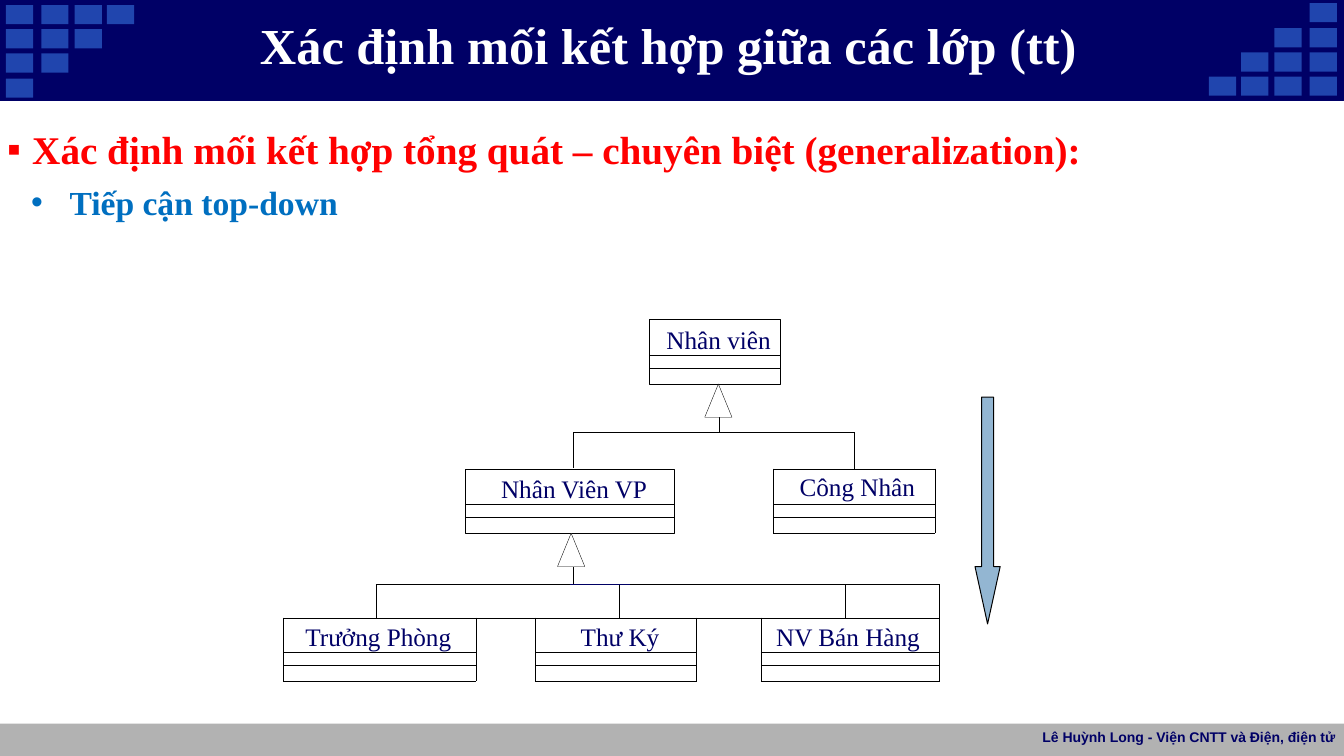
from dataclasses import dataclass
from itertools import product

from lxml.etree import SubElement
from pptx import Presentation
from pptx.dml.color import RGBColor
from pptx.enum.shapes import MSO_CONNECTOR, MSO_SHAPE
from pptx.enum.text import MSO_ANCHOR, PP_ALIGN
from pptx.oxml.ns import qn
from pptx.util import Inches, Pt

NAVY, BLACK, WHITE = "000066", "000000", "FFFFFF"
SERIF = "Times New Roman"
HAIRLINE = 0.25
COMPARTMENTS = (0.35, 0.13, 0.16)
NO_TABLE_STYLE = "{2D5ABB26-0587-4C30-8999-92F81FD0307C}"


@dataclass
class ClassBox:
    name: str
    left: float
    top: float
    width: float
    indent: float


@dataclass
class Segment:
    x1: float
    y1: float
    x2: float
    y2: float
    color: str = BLACK
    weight: float = HAIRLINE


@dataclass
class Bullet:
    text: str
    symbol: str
    margin: float
    hanging: float
    size: float
    color: str


@dataclass
class Block:
    row: int
    col: int
    cols: int
    sides: str
    rows: int = 1
    name: str = ""
    indent: float = 0


CLASS_BOXES = [
    ClassBox("Nhân viên", 6.44, 3.17, 1.3, 0.17),
    ClassBox("Nhân Viên VP", 4.61, 4.65, 2.08, 0.36),
]
SEGMENTS = [
    Segment(7.13, 4.29, 7.13, 4.14),
    Segment(5.69, 4.29, 8.47, 4.29),
    Segment(5.69, 4.64, 5.69, 4.29),
    Segment(8.47, 4.65, 8.47, 4.29),
    Segment(5.65, 5.8, 6.25, 5.8, "000064", 0.75),
]
BULLETS = [
    Bullet("Xác định mối kết hợp tổng quát – chuyên biệt (generalization):",
           "▪", 0.32, -0.25, 28, "FF0000"),
    Bullet("Tiếp cận top-down", "•", 0.69, -0.38, 24, "006FC0"),
]
WORKER_BLOCKS = [Block(0, 0, 1, "LRTB", name="Công Nhân", indent=0.26)] + [
    Block(row, 0, 1, "LRTB") for row in (1, 2)]
OFFICE_BLOCKS = [
    Block(0, 0, 4, "R"), Block(0, 4, 5, "L"),
    Block(1, 0, 1, "RB"), Block(1, 1, 4, "LRTB"),
    Block(1, 5, 3, "LRTB"), Block(1, 8, 1, "LRTB"),
    Block(2, 0, 2, "LRTB", name="Trưởng Phòng", indent=0.22),
    Block(2, 3, 3, "LRTB", name="Thư Ký", indent=0.45),
    Block(2, 7, 2, "LRTB", name="NV Bán Hàng", indent=0.15),
    Block(2, 2, 1, "LRT", rows=3), Block(2, 6, 1, "LRT", rows=3),
] + [Block(row, col, cols, "LRTB")
     for row in (3, 4) for col, cols in ((0, 2), (3, 3), (7, 2))]


def rgb(color: str) -> RGBColor:
    return RGBColor.from_string(color)


def style_font(paragraph, size: float, color: str, bold: bool = False, face: str = SERIF):
    font = paragraph.font
    font.name, font.size, font.bold = face, Pt(size), bold
    font.color.rgb = rgb(color)


def set_margins(frame, left: float = 0, top: float = 0):
    frame.margin_left, frame.margin_top = Inches(left), Inches(top)
    frame.margin_right = frame.margin_bottom = 0


def add_shape(slide, kind, left, top, width, height, fill=None, line=None, weight=HAIRLINE):
    shape = slide.shapes.add_shape(
        kind, Inches(left), Inches(top), Inches(width), Inches(height))
    shape.shadow.inherit = False
    if fill:
        shape.fill.solid()
        shape.fill.fore_color.rgb = rgb(fill)
    else:
        shape.fill.background()
    if line:
        shape.line.color.rgb = rgb(line)
        shape.line.width = Pt(weight)
    else:
        shape.line.fill.background()
    return shape


def add_text_area(slide, left, top, width, height):
    frame = slide.shapes.add_textbox(
        Inches(left), Inches(top), Inches(width), Inches(height)).text_frame
    frame.word_wrap = True
    return frame


def write_class_name(frame, name: str, spacing: float):
    paragraph = frame.paragraphs[0]
    paragraph.text = name
    paragraph.alignment = PP_ALIGN.LEFT
    paragraph.line_spacing = Pt(spacing)
    style_font(paragraph, 18, NAVY)


def draw_class_box(slide, box: ClassBox):
    top = box.top
    for index, height in enumerate(COMPARTMENTS):
        compartment = add_shape(slide, MSO_SHAPE.RECTANGLE, box.left, top,
                                box.width, height, line=BLACK)
        if index == 0:
            frame = compartment.text_frame
            frame.vertical_anchor = MSO_ANCHOR.TOP
            set_margins(frame, box.indent, 0.05)
            write_class_name(frame, box.name, 21.4)
        top += height


def draw_segment(slide, segment: Segment):
    connector = slide.shapes.add_connector(
        MSO_CONNECTOR.STRAIGHT, Inches(segment.x1), Inches(segment.y1),
        Inches(segment.x2), Inches(segment.y2))
    connector.line.color.rgb = rgb(segment.color)
    connector.line.width = Pt(segment.weight)
    SubElement(connector._element.spPr, qn("a:effectLst"))


def format_cell(cell, sides: str):
    properties = cell._tc.get_or_add_tcPr()
    for side in sides:
        border = SubElement(properties, qn(f"a:ln{side}"), w=str(Pt(HAIRLINE)))
        SubElement(SubElement(border, qn("a:solidFill")), qn("a:srgbClr"), val=BLACK)
    cell.fill.background()
    set_margins(cell)


def draw_class_table(slide, left, top, widths, heights, blocks: list[Block]):
    frame = slide.shapes.add_table(len(heights), len(widths), Inches(left), Inches(top),
                                   Inches(sum(widths)), Inches(sum(heights)))
    table = frame.table
    table.first_row = table.horz_banding = False
    table._tbl.tblPr.find(qn("a:tableStyleId")).text = NO_TABLE_STYLE
    for column, width in zip(table.columns, widths):
        column.width = Inches(width)
    for row, height in zip(table.rows, heights):
        row.height = Inches(height)
    for block in blocks:
        last_row, last_col = block.row + block.rows - 1, block.col + block.cols - 1
        for row, col in product(range(block.row, last_row + 1), range(block.col, last_col + 1)):
            cell = table.cell(row, col)
            format_cell(cell, block.sides)
            SubElement(cell.text_frame.paragraphs[0]._p, qn("a:endParaRPr"), sz="400")
        origin = table.cell(block.row, block.col)
        if block.rows * block.cols > 1:
            origin.merge(table.cell(last_row, last_col))
        if block.name:
            set_margins(origin, block.indent, 0.05)
            write_class_name(origin.text_frame, block.name, 20.4)


def draw_banner(slide):
    add_shape(slide, MSO_SHAPE.RECTANGLE, 0, 7.18, 13.33, 0.33, "B2B2B2")
    add_shape(slide, MSO_SHAPE.RECTANGLE, 0, 0, 13.33, 1, NAVY, NAVY, 0.75)
    for row, y in enumerate((0.05, 0.29, 0.53, 0.78)):
        for x in (0.06, 0.41, 0.74, 1.06)[:4 - row]:
            for left, top in ((x, y), (13.05 - x, 0.81 - y)):
                add_shape(slide, MSO_SHAPE.RECTANGLE, left, top, 0.27, 0.19, "2045AE")


def write_title(slide):
    title = slide.shapes.title
    slide.shapes._spTree.append(title._element)
    title.left, title.top = Inches(2.42), Inches(0.13)
    title.width, title.height = Inches(8.42), Inches(0.62)
    frame = title.text_frame
    frame.text = "Xác định mối kết hợp giữa các lớp (tt)"
    frame.vertical_anchor = MSO_ANCHOR.MIDDLE
    set_margins(frame)
    frame.paragraphs[0].alignment = PP_ALIGN.CENTER
    style_font(frame.paragraphs[0], 36, WHITE, True)


def write_bullets(slide):
    frame = add_text_area(slide, 0, 1.11, 13.33, 1.11)
    set_margins(frame, top=0.1)
    for index, bullet in enumerate(BULLETS):
        paragraph = frame.add_paragraph() if index else frame.paragraphs[0]
        paragraph.text = bullet.text
        paragraph.line_spacing = 1.08
        if index:
            paragraph.space_before = Pt(3.9)
        properties = paragraph._p.get_or_add_pPr()
        properties.set("marL", str(Inches(bullet.margin)))
        properties.set("indent", str(Inches(bullet.hanging)))
        SubElement(properties, qn("a:buFont"), typeface="Arial")
        SubElement(properties, qn("a:buChar"), char=bullet.symbol)
        style_font(paragraph, bullet.size, bullet.color, True)


def write_footer(slide):
    paragraph = add_text_area(slide, 10.17, 7.18, 3.17, 0.3).paragraphs[0]
    paragraph.text = "Lê Huỳnh Long - Viện CNTT và Điện, điện tử"
    paragraph.alignment = PP_ALIGN.RIGHT
    style_font(paragraph, 10, NAVY, True, "Arial")


def main():
    deck = Presentation()
    deck.slide_width, deck.slide_height = Inches(13.33), Inches(7.5)
    slide = deck.slides.add_slide(deck.slide_layouts[5])
    draw_banner(slide)
    write_title(slide)
    write_bullets(slide)
    for box in CLASS_BOXES:
        draw_class_box(slide, box)
    draw_class_table(slide, 7.67, 4.65, (1.6,), COMPARTMENTS, WORKER_BLOCKS)
    draw_class_table(slide, 2.81, 5.63, (0.92, 0.99, 0.59, 0.38, 0.45, 0.77, 0.64, 0.83, 0.94),
                     (0.17, 0.33, 0.34, 0.13, 0.16), OFFICE_BLOCKS)
    for segment in SEGMENTS:
        draw_segment(slide, segment)
    for left, top in ((6.99, 3.81), (5.53, 5.29)):
        add_shape(slide, MSO_SHAPE.ISOSCELES_TRIANGLE, left, top, 0.27, 0.33, WHITE, BLACK)
    top_down = add_shape(slide, MSO_SHAPE.DOWN_ARROW, 9.67, 3.94, 0.25, 2.25,
                         "93B6D2", BLACK, 0.72)
    top_down.adjustments[0], top_down.adjustments[1] = 0.48, 2.28
    write_footer(slide)
    deck.save("out.pptx")


if __name__ == "__main__":
    main()
